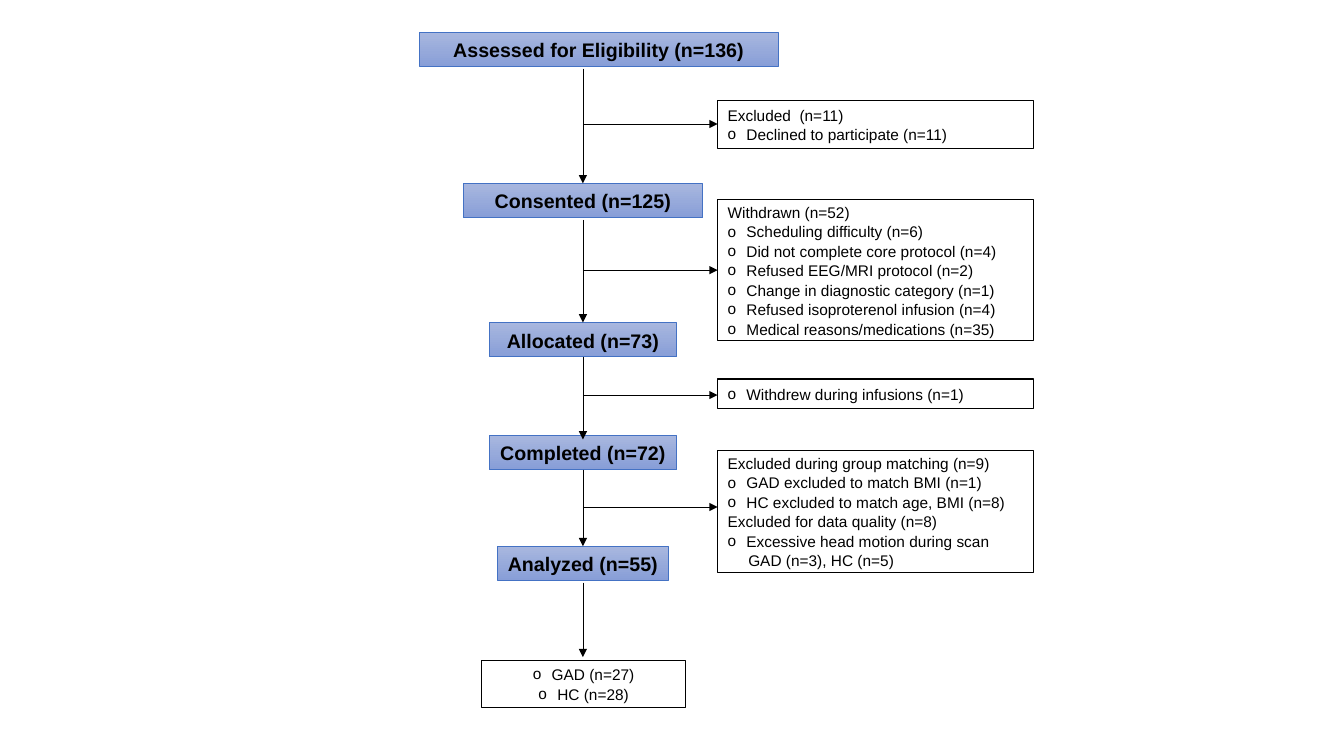
from lxml import etree
from pptx import Presentation
from pptx.dml.color import RGBColor
from pptx.enum.shapes import MSO_CONNECTOR, MSO_SHAPE
from pptx.enum.text import MSO_ANCHOR, PP_ALIGN
from pptx.oxml.ns import qn
from pptx.util import Pt

RECTANGLE = MSO_SHAPE.RECTANGLE
STRAIGHT = MSO_CONNECTOR.STRAIGHT
MIDDLE = MSO_ANCHOR.MIDDLE
LEFT, CENTER = PP_ALIGN.LEFT, PP_ALIGN.CENTER

BLACK, BLUE = "000000", "4472C4"
GRADIENT = ("A8B7DF", "889ED7")
SPINE = 416.4
BULLET_INDENT = 13.5
STAGE_HEIGHT = 24.5
SIDE_LEFT, SIDE_WIDTH = 512.6, 226

# Main stages: text, centre, top, width
STAGES = [
    ("Assessed for Eligibility (n=136)", 427.7, 23, 256.3),
    ("Consented (n=125)", SPINE, 131, 171),
    ("Allocated (n=73)", SPINE, 230.4, 134),
    ("Completed (n=72)", SPINE, 311, 134),
    ("Analyzed (n=55)", SPINE, 390.2, 122.4),
]
# Arrows down the spine: start, end
SPINE_ARROWS = [(49, 131), (157, 230.4), (255, 313.9), (335.5, 390.2), (416.2, 469.4)]

# Side boxes: top, height, arrow height, lines; "o " marks a bullet, "> " an indent
SIDE_BOXES = [
    (72, 33.8, 88.6, ["Excluded  (n=11)", "o Declined to participate (n=11)"]),
    (142.6, 100.8, 193, [
        "Withdrawn (n=52)",
        "o Scheduling difficulty (n=6)",
        "o Did not complete core protocol (n=4)",
        "o Refused EEG/MRI protocol (n=2)",
        "o Change in diagnostic category (n=1)",
        "o Refused isoproterenol infusion (n=4)",
        "o Medical reasons/medications (n=35)",
    ]),
    (270.7, 20.9, 282.2, ["o Withdrew during infusions (n=1)"]),
    (321.8, 87.1, 362.2, [
        "Excluded during group matching (n=9)",
        "o GAD excluded to match BMI (n=1)",
        "o HC excluded to match age, BMI (n=8)",
        "Excluded for data quality (n=8)",
        "o Excessive head motion during scan",
        "> GAD (n=3), HC (n=5)",
    ]),
]
GROUPS = ["o GAD (n=27)", "o HC (n=28)"]


def color(hex_string):
    return RGBColor.from_string(hex_string)


def write_text(paragraph, text, size=11, bold=False, align=LEFT):
    properties = paragraph._p.get_or_add_pPr()
    marker = text[:2]
    if marker in ("o ", "> "):
        text = text[2:]
        indent = BULLET_INDENT if marker == "o " else 14.8
        properties.set("marL", str(Pt(indent)))
    paragraph.alignment = align
    paragraph.line_spacing = 1.05
    if marker == "o ":
        properties.set("indent", str(-Pt(BULLET_INDENT)))
        etree.SubElement(properties, qn("a:buFont")).set("typeface", "Arial")
        etree.SubElement(properties, qn("a:buChar")).set("char", "o")
    run = paragraph.add_run()
    run.text = text
    run.font.name = "Arial"
    run.font.size = Pt(size)
    run.font.bold = bold
    run.font.color.rgb = color(BLACK)


def add_box(slide, box, lines, line_color=BLACK, line_width=0.75, wrap=True, **text_format):
    shape = slide.shapes.add_shape(RECTANGLE, *map(Pt, box))
    shape.shadow.inherit = False
    shape.fill.background()
    shape.line.color.rgb = color(line_color)
    shape.line.width = Pt(line_width)
    frame = shape.text_frame
    frame.word_wrap = wrap
    frame.vertical_anchor = MIDDLE
    for index, text in enumerate(lines):
        paragraph = frame.add_paragraph() if index else frame.paragraphs[0]
        write_text(paragraph, text, **text_format)
    return shape


def add_arrow(slide, *ends):
    connector = slide.shapes.add_connector(STRAIGHT, *map(Pt, ends))
    connector.line.color.rgb = color(BLACK)
    connector.line.width = Pt(0.5)
    etree.SubElement(connector.line._get_or_add_ln(), qn("a:tailEnd")).set("type", "triangle")
    etree.SubElement(connector._element.spPr, qn("a:effectLst"))


def add_stage(slide, box, text):
    shape = add_box(slide, box, [text], BLUE, 0.5, wrap=False, size=14, bold=True, align=CENTER)
    shape.fill.gradient()
    shape.fill.gradient_angle = 270
    for stop, shade, position in zip(shape.fill.gradient_stops, GRADIENT, (0, 1)):
        stop.color.rgb = color(shade)
        stop.position = position


def add_side_box(slide, box, lines, arrow_y):
    add_box(slide, box, lines)
    add_arrow(slide, SPINE, arrow_y, box[0], arrow_y)


def add_flow(slide):
    # Stages and the arrows between them
    for text, center, top, width in STAGES:
        add_stage(slide, (center - width / 2, top, width, STAGE_HEIGHT), text)
    for start, end in SPINE_ARROWS:
        add_arrow(slide, SPINE, start, SPINE, end)
    # Participants who left the study
    for top, height, arrow_y, lines in SIDE_BOXES:
        add_side_box(slide, (SIDE_LEFT, top, SIDE_WIDTH, height), lines, arrow_y)
    # Final groups
    add_box(slide, (344.2, 471.6, 145.4, 33.8), GROUPS, align=CENTER)


presentation = Presentation()
presentation.slide_width = Pt(960)
presentation.slide_height = Pt(540)
add_flow(presentation.slides.add_slide(presentation.slide_layouts[6]))
presentation.save("out.pptx")
